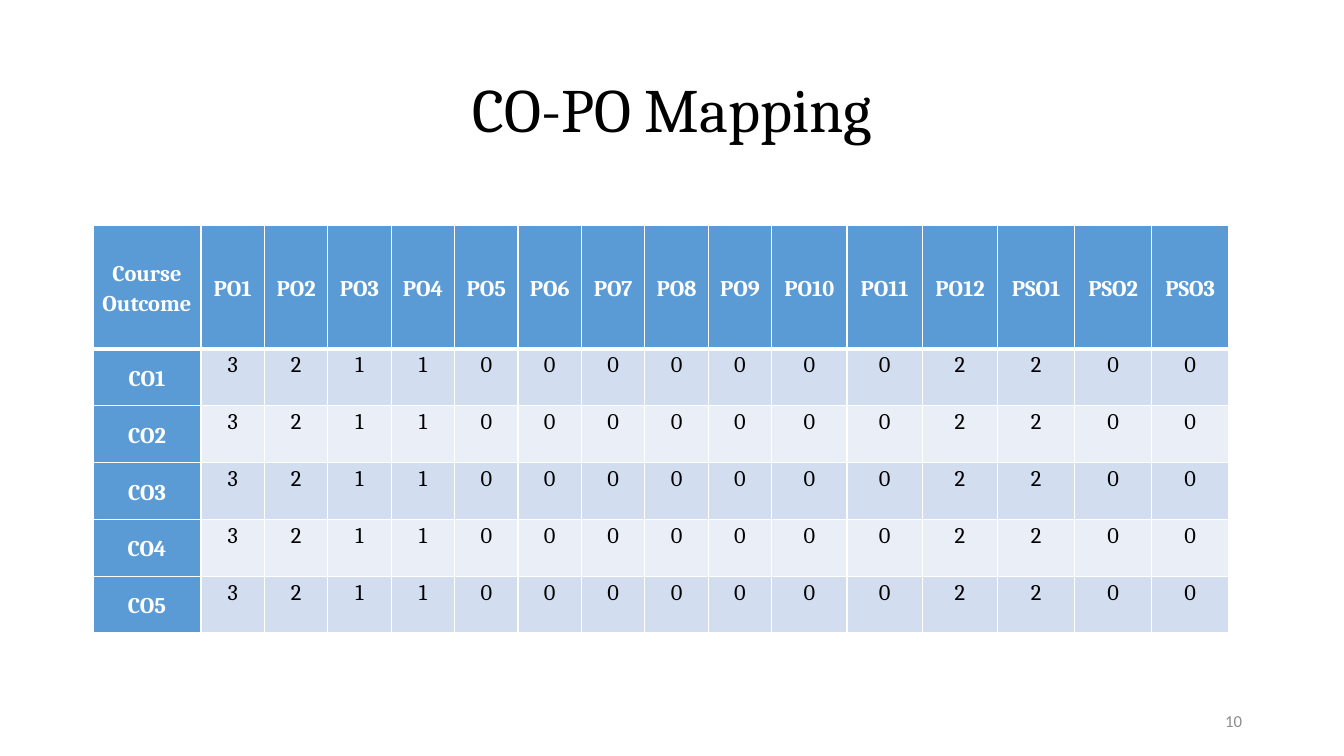
from lxml.etree import SubElement
from pptx import Presentation
from pptx.dml.color import RGBColor
from pptx.enum.text import MSO_ANCHOR, PP_ALIGN
from pptx.oxml.ns import qn
from pptx.util import Pt

EMU_PER_PX = 914400 / 100.8
WHITE = RGBColor(0xFF, 0xFF, 0xFF)
BLACK = RGBColor(0x00, 0x00, 0x00)
GRAY = RGBColor(0x8C, 0x8C, 0x8C)
BLUE = RGBColor(0x5B, 0x9B, 0xD5)
BAND_DARK = RGBColor(0xD2, 0xDE, 0xEF)
BAND_LIGHT = RGBColor(0xEA, 0xEF, 0xF7)

PROGRAM_OUTCOMES = [f"PO{n}" for n in range(1, 13)]
SPECIFIC_OUTCOMES = [f"PSO{n}" for n in range(1, 4)]
HEADINGS = ["Course Outcome", *PROGRAM_OUTCOMES, *SPECIFIC_OUTCOMES]
LEVELS = [3, 2, 1, 1, 0, 0, 0, 0, 0, 0, 0, 2, 2, 0, 0]
MAPPING = [[f"CO{n}", *LEVELS] for n in range(1, 6)]
COLUMN_GROUPS = [(108, 1), (571, 9), (226, 3), (231, 3)]
HEADER_HEIGHT = 124


def px(length):
    """Turn pixels into EMU."""
    return round(length * EMU_PER_PX)


def style_paragraph(paragraph, font_name, size, color, align, bold=False):
    """Set the alignment and font of one paragraph."""
    paragraph.alignment = align
    font = paragraph.font
    font.name = font_name
    font.size = Pt(size)
    font.bold = bold
    font.color.rgb = color


def add_label(slide, box, text, font_name, size, color, align, line_spacing=1.0):
    """Place one line of vertically centred text in the box."""
    frame = slide.shapes.add_textbox(*map(px, box)).text_frame
    frame.word_wrap = True
    frame.vertical_anchor = MSO_ANCHOR.MIDDLE
    paragraph = frame.paragraphs[0]
    paragraph.text = text
    paragraph.line_spacing = line_spacing
    style_paragraph(paragraph, font_name, size, color, align)


def add_borders(cell, top, bottom):
    """Draw white cell borders, with the top and bottom widths in points."""
    properties = cell._tc.get_or_add_tcPr()
    for side, width in (("L", 1), ("R", 1), ("T", top), ("B", bottom)):
        line = SubElement(properties, qn(f"a:ln{side}"), w=str(Pt(width)))
        fill = SubElement(line, qn("a:solidFill"))
        SubElement(fill, qn("a:srgbClr"), val=str(WHITE))


def fill_cell(cell, value, row, column):
    """Write and style one cell according to its row and column."""
    is_heading = row == 0 or column == 0
    add_borders(cell, top=3 if row == 1 else 1, bottom=3 if row == 0 else 1)
    cell.fill.solid()
    band = BAND_DARK if row % 2 else BAND_LIGHT
    cell.fill.fore_color.rgb = BLUE if is_heading else band
    cell.margin_left = cell.margin_right = px(7)
    cell.margin_top = cell.margin_bottom = 0
    cell.vertical_anchor = MSO_ANCHOR.MIDDLE if is_heading else MSO_ANCHOR.TOP
    paragraph = cell.text_frame.paragraphs[0]
    paragraph.text = str(value)
    paragraph.line_spacing = 1.15
    paragraph.space_after = Pt(10)
    color = WHITE if is_heading else BLACK
    style_paragraph(paragraph, "Cambria", 16, color, PP_ALIGN.CENTER, is_heading)


def add_mapping_table(slide, box):
    """Place the outcome mapping table in the box."""
    rows = [HEADINGS, *MAPPING]
    table = slide.shapes.add_table(len(rows), len(HEADINGS), *map(px, box)).table
    widths = [total / count for total, count in COLUMN_GROUPS for _ in range(count)]
    for column, width in zip(table.columns, widths):
        column.width = px(width)
    body_height = (box[3] - HEADER_HEIGHT) / len(MAPPING)
    for r, values in enumerate(rows):
        table.rows[r].height = px(body_height if r else HEADER_HEIGHT)
        for c, value in enumerate(values):
            fill_cell(table.cell(r, c), value, r, c)


def add_mapping_slide(presentation):
    """Build the slide from its title, table and page number."""
    slide = presentation.slides.add_slide(presentation.slide_layouts[6])
    add_label(slide, (93, 40, 1159, 146), "CO-PO Mapping",
              "Cambria", 44, BLACK, PP_ALIGN.CENTER, 0.9)
    add_mapping_table(slide, (93, 225, 1136, 408))
    add_label(slide, (950, 701, 302, 40), "10", "Calibri", 12, GRAY, PP_ALIGN.RIGHT)


def main():
    """Create and save the presentation."""
    presentation = Presentation()
    presentation.slide_width = px(1344)
    presentation.slide_height = px(756)
    add_mapping_slide(presentation)
    presentation.save("out.pptx")


if __name__ == "__main__":
    main()
